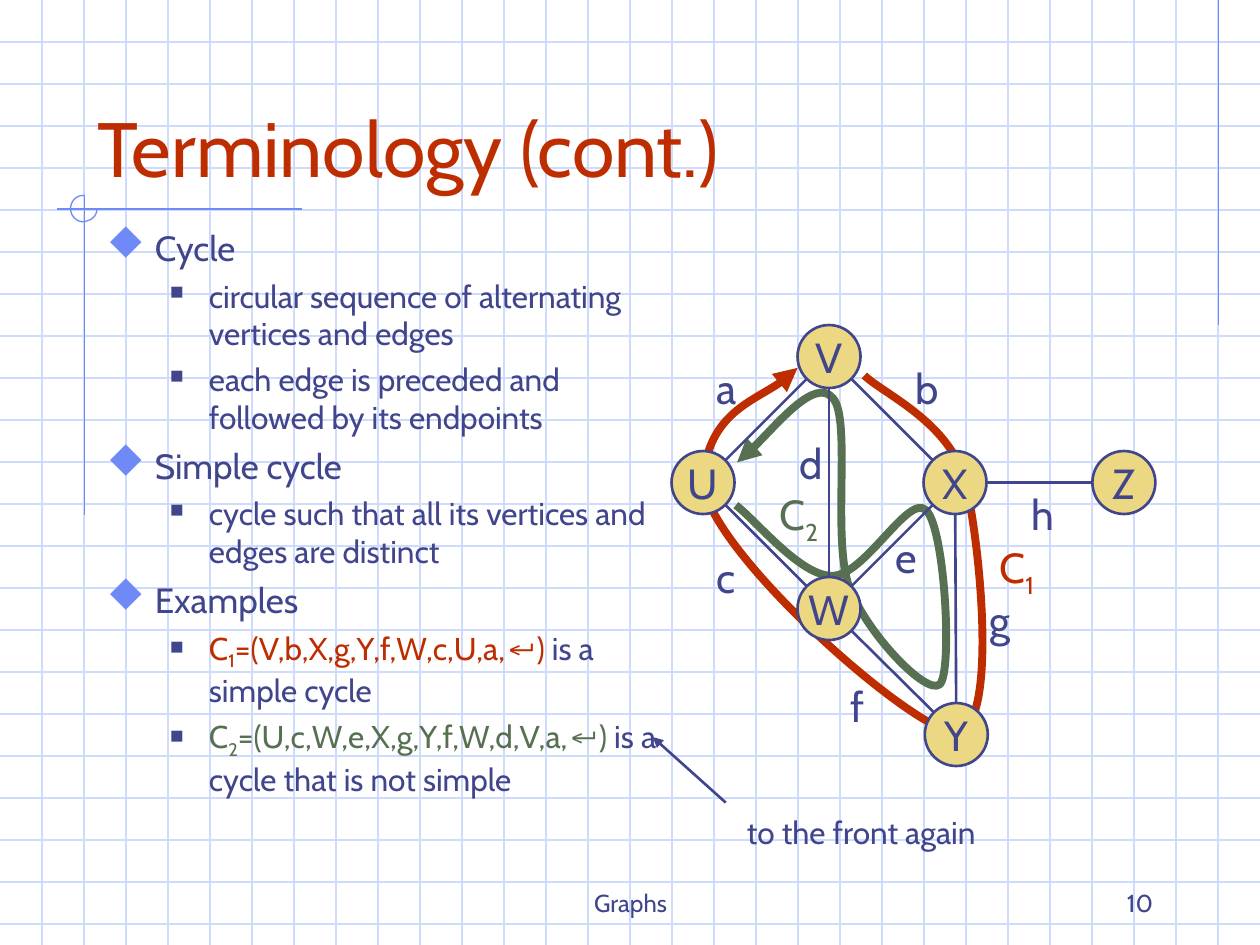
from math import hypot

from lxml.etree import SubElement
from pptx import Presentation
from pptx.dml.color import RGBColor
from pptx.enum.shapes import MSO_CONNECTOR, MSO_SHAPE
from pptx.enum.text import MSO_ANCHOR as ANCHOR, PP_ALIGN as ALIGN
from pptx.oxml.ns import qn
from pptx.util import Inches, Pt

COLORS = {"ink": "40458C", "red": "BE2D00", "green": "577052",
          "grid": "CFDBFD", "blue": "6F89F7", "node": "ECD882"}
RGB = {name: RGBColor.from_string(value) for name, value in COLORS.items()}

prs = Presentation()
prs.slide_width, prs.slide_height = Inches(10), Inches(7.5)
s = prs.slides.add_slide(prs.slide_layouts[5])


def add_line(x1, y1, x2, y2, color="ink", width=1.5):
    line = s.shapes.add_connector(
        MSO_CONNECTOR.STRAIGHT, Inches(x1), Inches(y1), Inches(x2), Inches(y2))
    line.line.color.rgb = RGB[color]
    line.line.width = Pt(width)
    SubElement(line._element.spPr, qn("a:effectLst"))
    return line


def add_runs(p, size, *runs):
    """Add (text, colour[, kind]) runs; kind is "sub" or "symbol"."""
    for text, color, *kind in runs:
        r = p.add_run()
        r.text = text
        r.font.size = Pt(size)
        r.font.name = "Arial" if "symbol" in kind else "Cabin"
        r.font.color.rgb = RGB[color]
        if "sub" in kind:
            r.font._element.set("baseline", "-25000")


# Grid paper and corner ornament
for i in range(1, 23):
    add_line(0, i / 3, 10, i / 3, "grid", 0.75)
for i in range(1, 30):
    add_line(i / 3, 0, i / 3, 7.5, "grid", 0.75)
for ends in [(9.67, 0, 9.67, 2.58), (2.4, 1.66, 0.45, 1.66), (0.67, 1.55, 0.67, 4.09)]:
    add_line(*ends, "blue", 0.75)

# Curves: a start point, then three Bezier points per segment
curves = [
    ("blue", 0.75, None,
     [(0.67, 1.55), (0.62, 1.55), (0.59, 1.57), (0.57, 1.61), (0.55, 1.65), (0.56, 1.7),
      (0.59, 1.73), (0.62, 1.76), (0.66, 1.77), (0.7, 1.75), (0.74, 1.74), (0.77, 1.7),
      (0.77, 1.66)]),
    ("red", 4.5, "a:tailEnd",
     [(6.86, 2.98), (7, 3.12), (7.54, 3.35), (7.66, 3.82), (7.78, 4.3), (7.93, 5.82),
      (7.58, 5.81), (7.24, 5.81), (5.54, 4.3), (5.58, 3.79), (5.63, 3.28), (6.18, 3.1),
      (6.33, 2.92)]),
    ("green", 4.5, "a:headEnd",
     [(5.85, 3.67), (5.98, 3.58), (6.47, 2.99), (6.61, 3.16), (6.76, 3.32), (6.6, 4.28),
      (6.74, 4.66), (6.88, 5.03), (7.36, 5.53), (7.46, 5.43), (7.56, 5.33), (7.5, 4.19),
      (7.35, 4.05), (7.21, 3.91), (6.86, 4.58), (6.6, 4.57), (6.35, 4.57), (6, 4.13),
      (5.84, 4.01)]),
]
for color, width, arrow, points in curves:
    start, *rest = [(Inches(x), Inches(y)) for x, y in points]
    builder = s.shapes.build_freeform(*start)
    builder.add_line_segments(rest, close=False)
    curve = builder.convert_to_shape()
    curve.shadow.inherit = False
    curve.fill.background()
    curve.line.color.rgb = RGB[color]
    curve.line.width = Pt(width)
    # Turn each three straight steps into one cubic segment
    steps = list(curve._element.iter(qn("a:lnTo")))
    for i in range(0, len(steps), 3):
        cubic = SubElement(steps[i].getparent(), qn("a:cubicBezTo"))
        for step in steps[i:i + 3]:
            cubic.append(step[0])
            step.getparent().remove(step)
    if arrow:
        SubElement(curve._element.spPr.find(qn("a:ln")), qn(arrow), type="triangle")

# Title
title = s.shapes.title
s.shapes._spTree.append(title._element)
title.left, title.top = Inches(0.67), Inches(0.33)
title.width, title.height = Inches(8.5), Inches(1.25)
tf = title.text_frame
tf.vertical_anchor = ANCHOR.BOTTOM
tf.paragraphs[0].alignment = ALIGN.LEFT
add_runs(tf.paragraphs[0], 44, ("Terminology (cont.)", "red"))

# Bulleted text
bullets = [
    (0, [("Cycle", "ink")]),
    (1, [("circular sequence of alternating vertices and edges", "ink")]),
    (1, [("each edge is preceded and followed by its endpoints", "ink")]),
    (0, [("Simple cycle", "ink")]),
    (1, [("cycle such that all its vertices and edges are distinct", "ink")]),
    (0, [("Examples", "ink")]),
    (1, [("C", "red"), ("1", "red", "sub"), ("=(V,b,X,g,Y,f,W,c,U,a,", "red"),
         ("↵", "red", "symbol"), (")", "red"), (" is a simple cycle", "ink")]),
    (1, [("C", "green"), ("2", "green", "sub"), ("=(U,c,W,e,X,g,Y,f,W,d,V,a,", "green"),
         ("↵", "green", "symbol"), (")", "green"), (" is a cycle that is not simple", "ink")]),
]
# Per level: size, space before, left margin, indent, bullet, its colour and its size
# (in Wingdings "u" is a diamond and "n" a square)
levels = [(20, 5, 0.38, -0.38, "u", "blue", 110),
          (18, 4.5, 0.81, -0.31, "n", "ink", 60)]
body = s.shapes.add_textbox(Inches(0.75), Inches(1.75), Inches(4.58), Inches(4.83))
tf = body.text_frame
tf.word_wrap = True
for i, (level, runs) in enumerate(bullets):
    size, before, margin, indent, char, color, percent = levels[level]
    p = tf.add_paragraph() if i else tf.paragraphs[0]
    p.level = level
    pPr = p._p.get_or_add_pPr()
    pPr.set("marL", str(Inches(margin)))
    pPr.set("indent", str(Inches(indent)))
    SubElement(SubElement(pPr, qn("a:buClr")), qn("a:srgbClr"), val=COLORS[color])
    SubElement(pPr, qn("a:buSzPct"), val=str(percent * 1000))
    SubElement(pPr, qn("a:buFont"), typeface="Wingdings", charset="2")
    SubElement(pPr, qn("a:buChar"), char=char)
    p.space_before = Pt(before if i else 0)
    add_runs(p, size, *runs)

# Graph: vertices by centre, edges from rim to rim
RADIUS = 0.25
vertices = {"X": (7.58, 3.83), "U": (5.58, 3.83), "V": (6.58, 2.83),
            "W": (6.58, 4.83), "Z": (8.92, 3.83), "Y": (7.59, 5.83)}
for name, (x, y) in vertices.items():
    node = s.shapes.add_shape(MSO_SHAPE.OVAL, Inches(x - RADIUS), Inches(y - RADIUS),
                              Inches(2 * RADIUS), Inches(2 * RADIUS))
    node.shadow.inherit = False
    node.fill.solid()
    node.fill.fore_color.rgb = RGB["node"]
    node.line.color.rgb = RGB["ink"]
    node.line.width = Pt(1.5)
    tf = node.text_frame
    tf.word_wrap = False
    tf.vertical_anchor = ANCHOR.MIDDLE
    tf.paragraphs[0].alignment = ALIGN.CENTER
    add_runs(tf.paragraphs[0], 24, (name, "ink"))

for a, b in ["VU", "WU", "WX", "XZ", "VX", "VW", "WY", "XY"]:
    (x1, y1), (x2, y2) = vertices[a], vertices[b]
    scale = RADIUS / hypot(x2 - x1, y2 - y1)
    dx, dy = (x2 - x1) * scale, (y2 - y1) * scale
    add_line(x1 + dx, y1 + dy, x2 - dx, y2 - dy)

# Edge and cycle labels
labels = [
    (5.58, 2.83, 0.38, "a", "", "ink"), (5.58, 4.33, 0.36, "c", "", "ink"),
    (7.16, 2.83, 0.4, "b", "", "ink"), (7, 4.17, 0.39, "e", "", "ink"),
    (6.24, 3.42, 0.4, "d", "", "ink"), (6.65, 5.35, 0.31, "f", "", "ink"),
    (7.74, 4.67, 0.4, "g", "", "ink"), (8.08, 3.83, 0.4, "h", "", "ink"),
    (7.81, 4.25, 0.52, "C", "1", "red"), (6.08, 3.83, 0.52, "C", "2", "green"),
]
for x, y, w, text, sub, color in labels:
    label = s.shapes.add_textbox(Inches(x), Inches(y), Inches(w), Inches(0.56 if sub else 0.5))
    tf = label.text_frame
    tf.word_wrap = False
    tf.paragraphs[0].alignment = ALIGN.CENTER
    add_runs(tf.paragraphs[0], 24, (text, color))
    if sub:
        add_runs(tf.paragraphs[0], 24, (sub, color, "sub"))

# Remark with its arrow, and the footer
pointer = add_line(5.76, 6.37, 5.18, 5.85)
SubElement(pointer._element.spPr.find(qn("a:ln")), qn("a:tailEnd"), type="triangle")
for x, y, w, h, anchor, align, size, text in [
    (5.83, 6.4, 2.5, 0.44, ANCHOR.TOP, ALIGN.LEFT, 18, "to the front again"),
    (3.42, 6.83, 3.17, 0.5, ANCHOR.BOTTOM, ALIGN.CENTER, 14, "Graphs"),
    (7.17, 6.83, 2.08, 0.5, ANCHOR.BOTTOM, ALIGN.RIGHT, 14, "10"),
]:
    box = s.shapes.add_textbox(Inches(x), Inches(y), Inches(w), Inches(h))
    tf = box.text_frame
    tf.word_wrap = True
    tf.vertical_anchor = anchor
    tf.paragraphs[0].alignment = align
    add_runs(tf.paragraphs[0], size, (text, "ink"))

prs.save("out.pptx")
